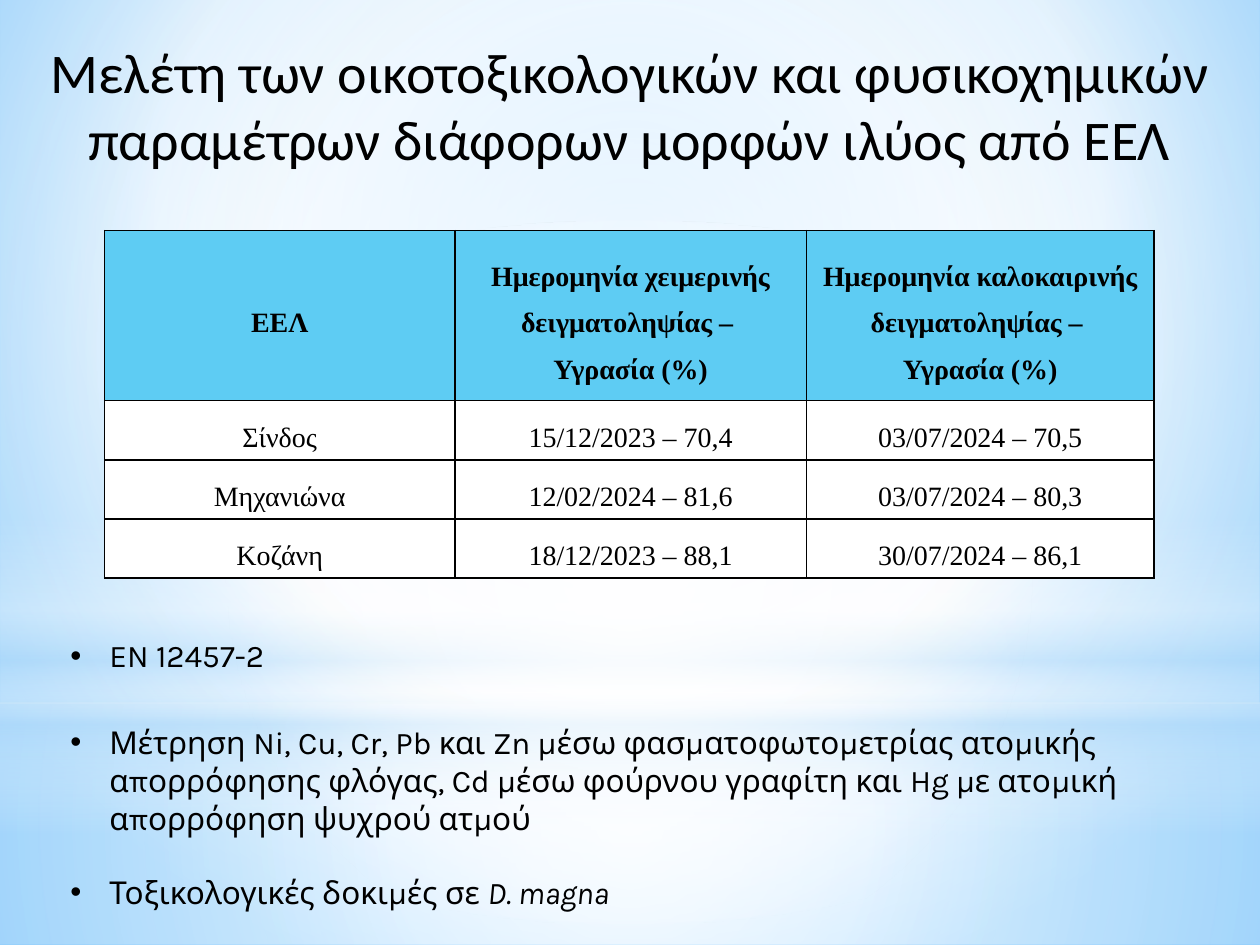
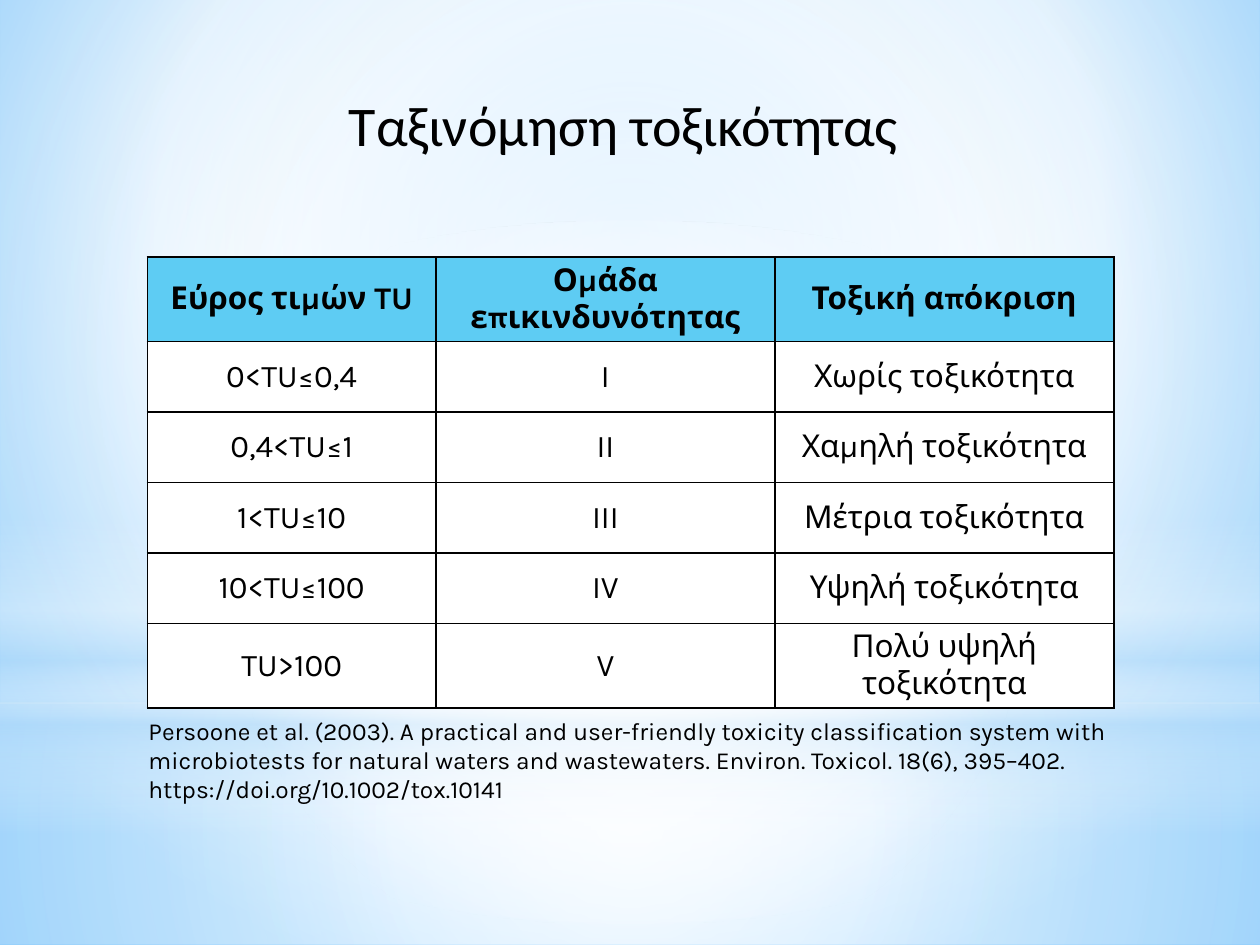
from lxml import etree
from pptx import Presentation
from pptx.dml.color import RGBColor
from pptx.enum.shapes import MSO_SHAPE as Preset
from pptx.enum.text import MSO_ANCHOR as Anchor, MSO_AUTO_SIZE as AutoSize, PP_ALIGN as Align
from pptx.oxml.ns import qn
from pptx.util import Inches, Pt

BLACK, WHITE, PALE, HEADER = "000000", "FFFFFF", "B4DCFA", "5ECCF3"
CENTER = (50, 50, 50, 50)
BACKGROUND_STOPS = [(0, "9ED5FF", 100), (60, WHITE, 100), (100, "5BB9FF", 100)]
BACKDROP = [
    (Preset.RECTANGLE, 5.58, 1.92, [(0, WHITE, 91), (37, WHITE, 76), (100, PALE, 79)], CENTER),
    (Preset.RECTANGLE, 0, 5.58, [(0, WHITE, 89), (48, WHITE, 62), (100, PALE, 79)], CENTER),
    (Preset.RECTANGLE, 4.12, 2.5,
     [(0, WHITE, 0), (29, WHITE, 30), (45, PALE, 40), (55, WHITE, 26), (65, PALE, 60), (100, WHITE, 0)], None),
    (Preset.OVAL, 1.75, 5.58, [(0, WHITE, 100), (56, WHITE, 0)], CENTER),
]


def color(value):
    return RGBColor.from_string(value)


def child(parent, tag, **attributes):
    return etree.SubElement(parent, qn(tag), {name: str(value) for name, value in attributes.items()})


class Deck:
    def __init__(self):
        self.presentation = Presentation()
        self.presentation.slide_width = Inches(10)
        self.presentation.slide_height = Inches(7.5)
        self.slide = None

    def add_slide(self):
        self.slide = self.presentation.slides.add_slide(self.presentation.slide_layouts[6])
        self.gradient(self.slide.background.fill, self.slide.element, BACKGROUND_STOPS, (20, 10, 20, 60))
        for preset, top, height, stops, focus in BACKDROP:
            shape = self.slide.shapes.add_shape(preset, 0, Inches(top), Inches(10), Inches(height))
            shape.shadow.inherit = False
            shape.line.fill.background()
            self.gradient(shape.fill, shape.element, stops, focus)

    def gradient(self, fill, element, stops, focus):
        fill.gradient()
        gradient = element.find(".//" + qn("a:gradFill"))
        for old in list(gradient):
            gradient.remove(old)
        stop_list = child(gradient, "a:gsLst")
        for position, value, opacity in stops:
            stop = child(stop_list, "a:gs", pos=position * 1000)
            tint = child(stop, "a:srgbClr", val=value)
            if opacity < 100:
                child(tint, "a:alpha", val=opacity * 1000)
        if focus:
            sides = {side: edge * 1000 for side, edge in zip("ltrb", focus)}
            child(child(gradient, "a:path", path="circle"), "a:fillToRect", **sides)
        else:
            child(gradient, "a:lin", ang=90 * 60000, scaled=0)

    def format(self, run, size, font, bold=False, italic=False):
        run.font.size = Pt(size)
        run.font.name = font
        run.font.bold = bold
        run.font.italic = italic
        run.font.color.rgb = color(BLACK)

    def text(self, content, left, top, width, height, size, font, align=Align.LEFT):
        box = self.slide.shapes.add_textbox(Inches(left), Inches(top), Inches(width), Inches(height))
        text_frame = box.text_frame
        text_frame.word_wrap = True
        text_frame.auto_size = AutoSize.SHAPE_TO_FIT_TEXT
        text_frame.text = content
        for paragraph in text_frame.paragraphs:
            paragraph.alignment = align
            for run in paragraph.runs:
                self.format(run, size, font)
        return text_frame

    def title(self, content, top, height):
        self.text(content, 0.25, top, 9.5, height, 32, "Calibri", Align.CENTER)

    def bullets(self, content, gaps, left, top, width, height):
        text_frame = self.text(content, left, top, width, height, 18, "Karla")
        for paragraph, gap in zip(text_frame.paragraphs, gaps):
            paragraph.space_before = Pt(gap)
            properties = paragraph._p.get_or_add_pPr()
            properties.set("marL", str(Inches(0.31)))
            properties.set("indent", str(-Inches(0.31)))
            child(properties, "a:buFont", typeface="Arial")
            child(properties, "a:buChar", char="•")
        return text_frame

    def table(self, rows, left, top, widths, heights, size, font, spacing=1.0):
        frame = self.slide.shapes.add_table(len(rows), len(widths), Inches(left), Inches(top),
                                            Inches(sum(widths)), Inches(sum(heights)))
        table = frame.table
        table.first_row = table.horz_banding = False
        for column, width in zip(table.columns, widths):
            column.width = Inches(width)
        for index, (row, height) in enumerate(zip(rows, heights)):
            table.rows[index].height = Inches(height)
            for cell, content in zip(table.rows[index].cells, row):
                self.cell(cell, content, index == 0, size, font, spacing)

    def cell(self, cell, content, is_header, size, font, spacing):
        cell.margin_left = cell.margin_right = Inches(0.07)
        cell.margin_top = cell.margin_bottom = 0
        cell.vertical_anchor = Anchor.MIDDLE
        properties = cell._tc.get_or_add_tcPr()
        for side in "LRTB":
            border = child(properties, "a:ln" + side, w=Pt(1))
            child(child(border, "a:solidFill"), "a:srgbClr", val=BLACK)
        cell.fill.solid()
        cell.fill.fore_color.rgb = color(HEADER if is_header else WHITE)
        cell.text_frame.text = content
        for paragraph in cell.text_frame.paragraphs:
            paragraph.alignment = Align.CENTER
            paragraph.line_spacing = spacing
            for run in paragraph.runs:
                self.format(run, size, font, bold=is_header)


def add_sampling_slide(deck):
    deck.add_slide()
    deck.title("Μελέτη των οικοτοξικολογικών και φυσικοχημικών παραμέτρων διάφορων μορφών ιλύος από ΕΕΛ",
               0.25, 1.18)
    samples = [
        ("ΕΕΛ", "Ημερομηνία χειμερινής δειγματοληψίας – \nΥγρασία (%)",
         "Ημερομηνία καλοκαιρινής δειγματοληψίας – \nΥγρασία (%)"),
        ("Σίνδος", "15/12/2023 – 70,4", "03/07/2024 – 70,5"),
        ("Μηχανιώνα", "12/02/2024 – 81,6", "03/07/2024 – 80,3"),
        ("Κοζάνη", "18/12/2023 – 88,1", "30/07/2024 – 86,1"),
    ]
    deck.table(samples, 0.83, 1.83, [2.78, 2.79, 2.76], [1.35] + [0.47] * 3, 16, "Times New Roman", 1.5)
    methods = [
        "EN 12457-2",
        "Μέτρηση Ni, Cu, Cr, Pb και Zn μέσω φασματοφωτομετρίας ατομικής απορρόφησης φλόγας, "
        "Cd μέσω φούρνου γραφίτη και Hg με ατομική απορρόφηση ψυχρού ατμού",
        "Τοξικολογικές δοκιμές σε ",
    ]
    text_frame = deck.bullets("\n".join(methods), [0, 28, 21], 0.46, 5, 9.08, 2.19)
    species = text_frame.paragraphs[-1].add_run()
    species.text = "D. magna"
    deck.format(species, 18, "Karla", italic=True)


def add_toxicity_slide(deck):
    deck.add_slide()
    deck.title("Ταξινόμηση τοξικότητας ", 0.67, 0.64)
    classes = [
        ("Εύρος τιμών TU", "Ομάδα επικινδυνότητας", "Τοξική απόκριση"),
        ("0<TU≤0,4", "I", "Χωρίς τοξικότητα"),
        ("0,4<TU≤1", "II", "Χαμηλή τοξικότητα"),
        ("1<TU≤10", "III", "Μέτρια τοξικότητα"),
        ("10<TU≤100", "IV", "Υψηλή τοξικότητα"),
        ("TU>100", "V", "Πολύ υψηλή τοξικότητα"),
    ]
    deck.table(classes, 1.17, 2.04, [2.29, 2.69, 2.69], [0.67] + [0.56] * 4 + [0.67], 18, "Karla")
    deck.text("Persoone et al. (2003). A practical and user-friendly toxicity classification system with "
              "microbiotests for natural waters and wastewaters. Environ. Toxicol. 18(6), 395–402. "
              "https://doi.org/10.1002/tox.10141", 1.08, 5.63, 8.08, 0.81, 14, "Karla")


def main():
    deck = Deck()
    add_sampling_slide(deck)
    add_toxicity_slide(deck)
    deck.presentation.save("out.pptx")


if __name__ == "__main__":
    main()
